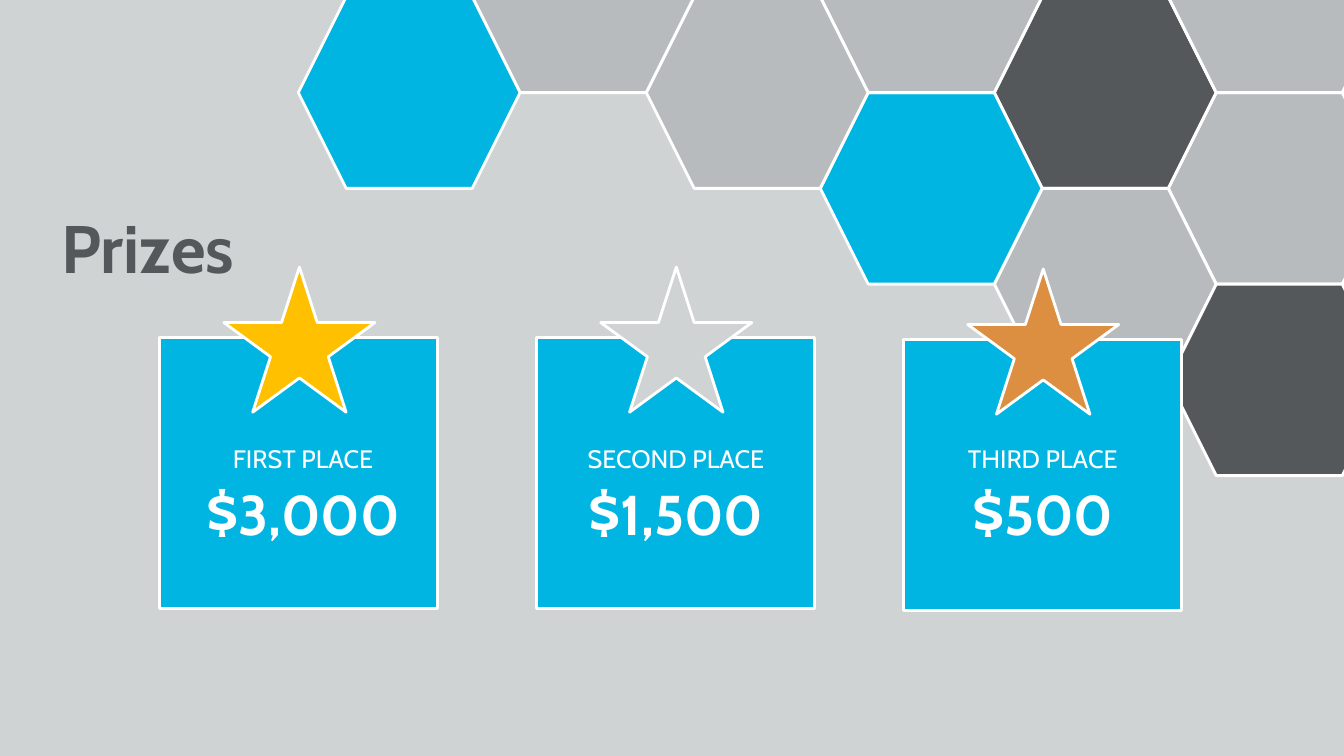
from pptx import Presentation
from pptx.dml.color import RGBColor
from pptx.enum.shapes import MSO_SHAPE
from pptx.enum.text import MSO_AUTO_SIZE, PP_ALIGN
from pptx.util import Pt

RECTANGLE, STAR, HEXAGON = MSO_SHAPE.RECTANGLE, MSO_SHAPE.STAR_5_POINT, MSO_SHAPE.HEXAGON
CENTER, FIT_SHAPE = PP_ALIGN.CENTER, MSO_AUTO_SIZE.SHAPE_TO_FIT_TEXT

THEME = {
    "font": "Cabin",
    "background": "D0D3D4", "white": "FFFFFF", "blue": "00B5E2",
    "dark": "54585A", "gray": "B7BBBD",
    "gold": "FFC000", "silver": "D0D3D4", "bronze": "DD8F41",
    "title": 48, "place": 18, "dollar": 44, "amount": 40, "outline": 2,
}


def color(name):
    return RGBColor.from_string(THEME[name])


def add_outlined(shapes, preset, left, top, width, height, fill):
    shape = shapes.add_shape(preset, Pt(left), Pt(top), Pt(width), Pt(height))
    shape.shadow.inherit = False
    shape.fill.solid()
    shape.fill.fore_color.rgb = color(fill)
    shape.line.color.rgb = color("white")
    shape.line.width = Pt(THEME["outline"])


def add_centered_text(shapes, left, top, width, height, lines, ink, wrap):
    """Each line is a list of (text, size name, bold)."""
    frame = shapes.add_textbox(Pt(left), Pt(top), Pt(width), Pt(height)).text_frame
    frame.word_wrap = wrap
    frame.auto_size = FIT_SHAPE
    for index, line in enumerate(lines):
        paragraph = frame.add_paragraph() if index else frame.paragraphs[0]
        paragraph.alignment = CENTER
        for text, size, bold in line:
            run = paragraph.add_run()
            run.text = text
            run.font.name = THEME["font"]
            run.font.size = Pt(THEME[size])
            run.font.bold = bold
            run.font.color.rgb = color(ink)


prs = Presentation()
prs.slide_width, prs.slide_height = Pt(960), Pt(540)
slide = prs.slides.add_slide(prs.slide_layouts[6])
slide.background.fill.solid()
slide.background.fill.fore_color.rgb = color("background")

# Honeycomb: (column, half-row, fill)
HEX_WIDTH, HEX_HEIGHT = 158.4, 136.8
COLUMN_STEP, HALF_ROW = 124.3, HEX_HEIGHT / 2
HONEYCOMB_LEFT, HONEYCOMB_TOP = 213.1, -2.2
honeycomb_cells = [
    (5, 1, "gray"), (4, 0, "dark"), (4, 2, "gray"), (3, 1, "blue"), (5, 3, "dark"),
    (5, -1, "gray"), (3, -1, "gray"), (2, 0, "gray"), (1, -1, "gray"), (0, 0, "blue"),
]
honeycomb = slide.shapes.add_group_shape()
for column, half_row, fill in honeycomb_cells:
    add_outlined(honeycomb.shapes, HEXAGON, HONEYCOMB_LEFT + column * COLUMN_STEP,
                 HONEYCOMB_TOP + half_row * HALF_ROW, HEX_WIDTH, HEX_HEIGHT, fill)

# Title
add_centered_text(slide.shapes, 36, 144, 139, 65.5,
                  [[("Prizes", "title", True)]], "dark", False)

# Prize cards: (card left, card top, text left, star fill, place, amount)
prizes = [
    (113.8, 241.2, 135.4, "gold", "FIRST PLACE", "3,000"),
    (383, 241.2, 401.8, "silver", "SECOND PLACE", "1,500"),
    (645.1, 242.6, 663.8, "bronze", "THIRD PLACE", "500"),
]
for left, top, text_left, star_fill, place, amount in prizes:
    card = slide.shapes.add_group_shape()
    add_outlined(card.shapes, RECTANGLE, left, top, 198.7, 193.7, "blue")
    add_outlined(card.shapes, STAR, left + 46.1, top - 50.4, 108, 103.7, star_fill)
    prize_lines = [[(place, "place", False)],
                   [("$", "dollar", True), (amount, "amount", True)]]
    add_centered_text(card.shapes, text_left, 313.2, 162, 85, prize_lines, "white", True)

prs.save("out.pptx")
